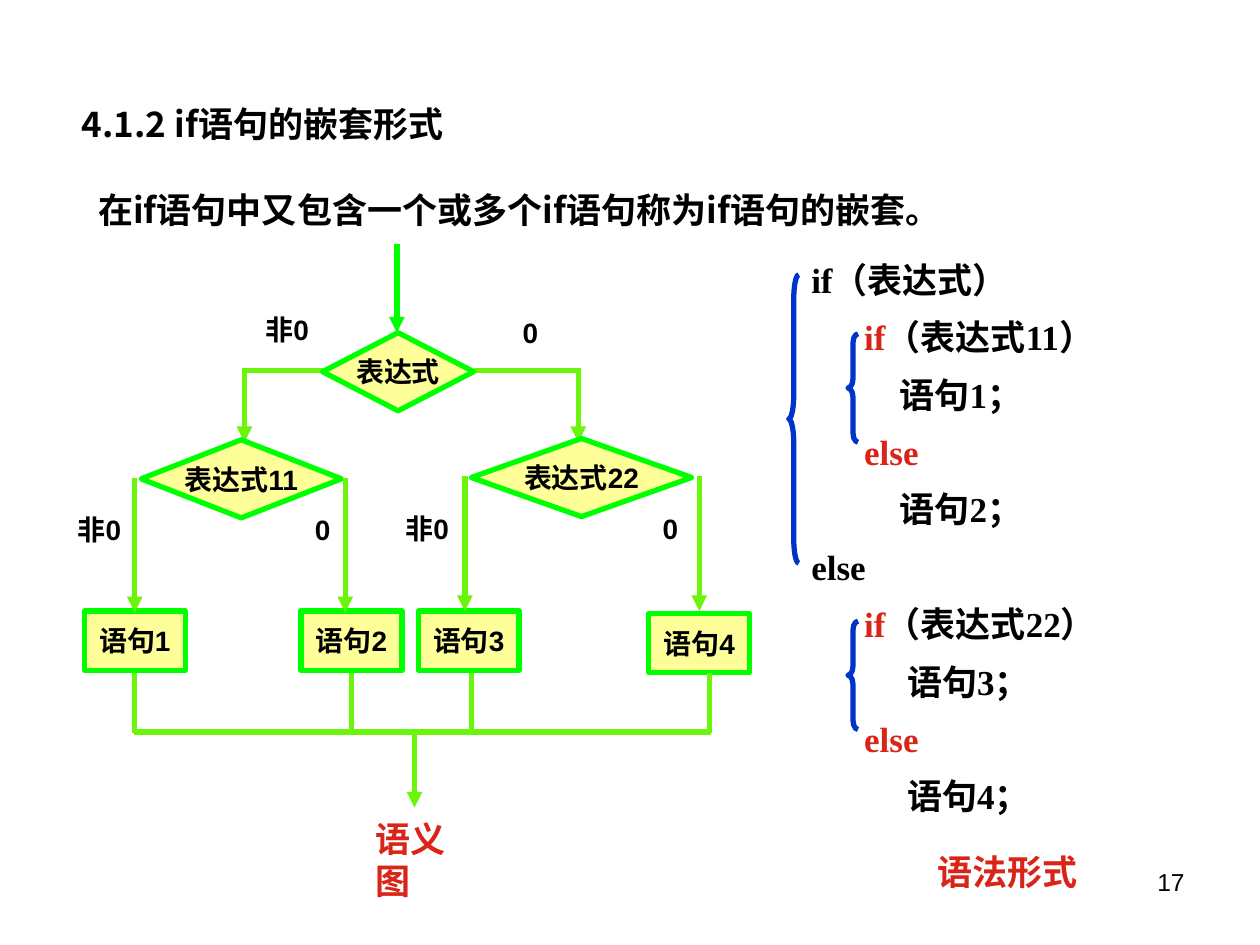
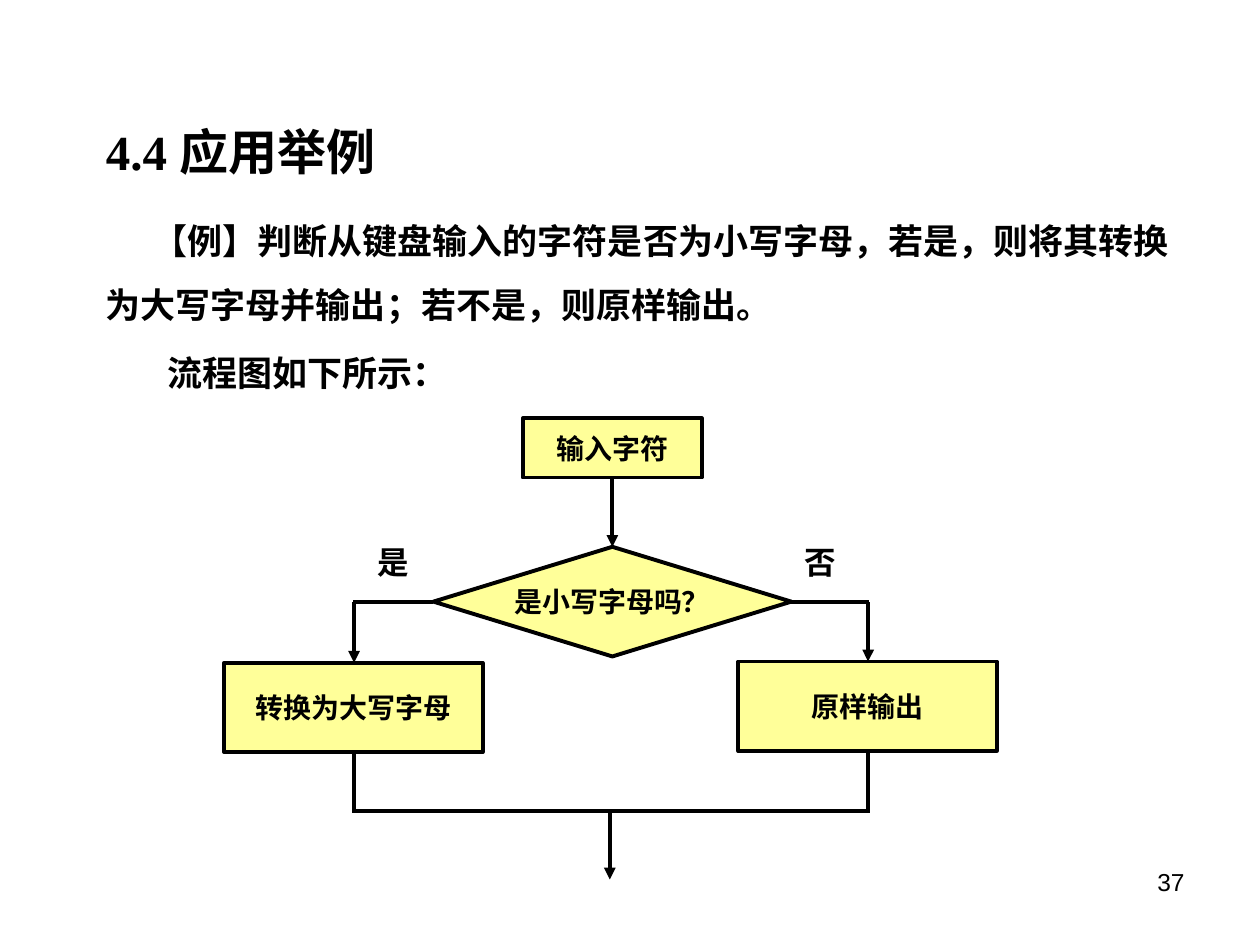
from collections import namedtuple

from lxml import etree
from pptx import Presentation
from pptx.dml.color import RGBColor
from pptx.enum.shapes import MSO_CONNECTOR, MSO_SHAPE
from pptx.enum.text import MSO_ANCHOR, PP_ALIGN
from pptx.oxml.ns import qn
from pptx.util import Inches, Pt

BLACK = RGBColor(0x00, 0x00, 0x00)
RED = RGBColor(0xD9, 0x25, 0x17)
BLUE = RGBColor(0x00, 0x33, 0xCC)
YELLOW = RGBColor(0xFF, 0xFF, 0x99)
GREEN = RGBColor(0x00, 0xFF, 0x00)
LIME = RGBColor(0x6B, 0xF5, 0x0D)

SANS, SERIF, CHINESE = "Arial", "Times New Roman", "Noto Sans CJK SC"
LEFT, CENTER, RIGHT = PP_ALIGN.LEFT, PP_ALIGN.CENTER, PP_ALIGN.RIGHT
TOP, MIDDLE = MSO_ANCHOR.TOP, MSO_ANCHOR.MIDDLE
DECISION, PROCESS = MSO_SHAPE.FLOWCHART_DECISION, MSO_SHAPE.FLOWCHART_PROCESS
LEFT_BRACE = MSO_SHAPE.LEFT_BRACE
STRAIGHT = MSO_CONNECTOR.STRAIGHT
TITLE_ONLY = 5

FlowStyle = namedtuple("FlowStyle", "outline wire weight font")
NESTED = FlowStyle(GREEN, LIME, 3, SANS)
EXAMPLE = FlowStyle(BLACK, BLACK, 2.25, SERIF)

Side = namedtuple("Side", "wire label label_center box_left box_top statement")


def inches(*lengths):
    return [Inches(round(length, 2)) for length in lengths]


def format_run(run, size, font, color=BLACK, bold=True):
    run.font.size = Pt(size)
    run.font.name = font
    run.font.bold = bold
    run.font.color.rgb = color
    east_asian = etree.SubElement(run._r.get_or_add_rPr(), qn("a:ea"))
    east_asian.set("typeface", CHINESE)


def indent_paragraph(paragraph, margin=0, first_line=0):
    properties = paragraph._p.get_or_add_pPr()
    properties.set("marL", str(Inches(margin)))
    properties.set("indent", str(Inches(first_line)))


def fill_text(shape, text, size, font, color=BLACK, bold=True, align=CENTER,
              anchor=MIDDLE, wrap=False):
    """Write one paragraph per line of text in a single format."""
    frame = shape.text_frame
    frame.text = text
    frame.word_wrap = wrap
    frame.vertical_anchor = anchor
    for paragraph in frame.paragraphs:
        paragraph.alignment = align
        for run in paragraph.runs:
            format_run(run, size, font, color, bold)
    return frame


def add_text(slide, box, text, size, font, **options):
    shape = slide.shapes.add_textbox(*inches(*box))
    return fill_text(shape, text, size, font, **options)


def add_label(slide, center, middle, text, size, font):
    add_text(slide, (center - 0.3, middle - 0.2, 0.6, 0.4), text, size, font)


def add_node(slide, kind, box, text, style):
    shape = slide.shapes.add_shape(kind, *inches(*box))
    shape.shadow.inherit = False
    shape.fill.solid()
    shape.fill.fore_color.rgb = YELLOW
    shape.line.color.rgb = style.outline
    shape.line.width = Pt(style.weight)
    fill_text(shape, text, 16, style.font)


def add_wire(slide, start, end, style, arrow=False, color=None):
    wire = slide.shapes.add_connector(STRAIGHT, *inches(*start, *end))
    wire.line.color.rgb = color or style.wire
    wire.line.width = Pt(style.weight)
    properties = wire._element.spPr
    if arrow:
        head = etree.SubElement(properties.find(qn("a:ln")), qn("a:tailEnd"))
        head.set("type", "triangle")
    etree.SubElement(properties, qn("a:effectLst"))


def add_brace(slide, left, top, height):
    width = 0.08
    brace = slide.shapes.add_shape(LEFT_BRACE, *inches(left, top, width, height))
    brace.adjustments[0] = height / width / 12
    brace.shadow.inherit = False
    brace.fill.background()
    brace.line.color.rgb = BLUE
    brace.line.width = Pt(3)


def add_titled_slide(presentation, title, box, size, font, number):
    slide = presentation.slides.add_slide(presentation.slide_layouts[TITLE_ONLY])
    shape = slide.shapes.title
    shape.left, shape.top, shape.width, shape.height = inches(*box)
    fill_text(shape, title, size, font, align=LEFT, wrap=True)
    add_text(slide, (7.17, 6.83, 2.33, 0.52), number, 14, SANS,
             bold=False, align=RIGHT, anchor=TOP, wrap=True)
    return slide


def add_root_decision(slide, left, top):
    """The outer test, with wires down to both inner tests."""
    middle = top + 0.3
    for wire, inner, outer in ((left - 0.62, left - 0.63, left),
                               (left + 2.03, left + 1.2, left + 2.03)):
        add_wire(slide, (inner, middle), (outer, middle), NESTED)
        add_wire(slide, (wire, middle - 0.02), (wire, top + 0.87), NESTED, arrow=True)
    add_node(slide, DECISION, (left, top, 1.2, 0.62), "表达式", NESTED)
    add_wire(slide, (left + 0.59, top - 0.7), (left + 0.59, top), NESTED,
             arrow=True, color=GREEN)
    add_label(slide, left - 0.28, top - 0.03, "非0", 16, SANS)
    add_label(slide, left + 1.65, top, "0", 16, SANS)


def add_inner_decision(slide, left, top, width, test, sides):
    """An inner test; the sides are given relative to its corner."""
    add_node(slide, DECISION, (left, top, width, 0.62), test, NESTED)
    for side in sides:
        wire, box_top = left + side.wire, top + side.box_top
        add_node(slide, PROCESS, (left + side.box_left, box_top, 0.8, 0.47),
                 side.statement, NESTED)
        add_wire(slide, (wire, top + 0.3), (wire, top + 1.37), NESTED, arrow=True)
        add_label(slide, left + side.label_center, top + 0.71, side.label, 16, SANS)


def add_merge(slide, left, top):
    """Collect the four statements into one exit arrow."""
    bus = top + 0.47
    add_wire(slide, (left - 0.01, bus), (left + 4.57, bus), NESTED)
    for offset in (0, 1.72, 2.67, 4.56):
        add_wire(slide, (left + offset, top), (left + offset, bus + 0.01), NESTED)
    add_wire(slide, (left + 2.22, bus), (left + 2.22, bus + 0.6), NESTED, arrow=True)


def add_syntax(slide, left, top):
    """The nested if in code form, with braces pairing if and else."""
    lines = [
        (0, "", "if（表达式）"),
        (0.42, "if", "（表达式11）"),
        (0.7, "", "语句1；"),
        (0.42, "else", ""),
        (0.7, "", "语句2；"),
        (0, "", "else"),
        (0.42, "if", "（表达式22）"),
        (0.76, "", "语句3；"),
        (0.42, "else", ""),
        (0.76, "", "语句4；"),
    ]
    frame = slide.shapes.add_textbox(*inches(left, top, 3.31, 5.24)).text_frame
    frame.word_wrap = True
    for index, (margin, keyword, rest) in enumerate(lines):
        paragraph = frame.add_paragraph() if index else frame.paragraphs[0]
        paragraph.line_spacing = Pt(32.8)
        indent_paragraph(paragraph, margin)
        for text, color in ((keyword, RED), (rest, BLACK)):
            if text:
                run = paragraph.add_run()
                run.text = text
                format_run(run, 20, SERIF, color)
    caption = frame.add_paragraph()
    caption.text = "语法形式"
    caption.alignment = CENTER
    caption.line_spacing = Pt(32.8)
    caption.space_before = Pt(10.6)
    format_run(caption.runs[0], 20, CHINESE, RED)

    add_brace(slide, left - 0.08, top + 0.3, 2.29)
    for offset in (0.77, 3.05):
        add_brace(slide, left + 0.39, top + offset, 0.86)


def build_nesting_slide(presentation):
    slide = add_titled_slide(presentation, "4.1.2 if语句的嵌套形式",
                             (0.55, 0.68, 8.46, 0.6), 20, CHINESE, "17")
    add_text(slide, (0.68, 1.36, 8.33, 0.6),
             "在if语句中又包含一个或多个if语句称为if语句的嵌套。",
             20, CHINESE, align=LEFT, wrap=True)
    add_root_decision(slide, 2.56, 2.64)
    add_inner_decision(slide, 1.12, 3.49, 1.59, "表达式11", (
        Side(-0.05, "非0", -0.33, -0.45, 1.36, "语句1"),
        Side(1.62, "0", 1.44, 1.27, 1.36, "语句2")))
    add_inner_decision(slide, 3.74, 3.48, 1.75, "表达式22", (
        Side(-0.05, "非0", -0.35, -0.42, 1.37, "语句3"),
        Side(1.81, "0", 1.58, 1.41, 1.39, "语句4")))
    add_merge(slide, 1.07, 5.34)
    add_text(slide, (2.88, 6.6, 1.03, 0.44), "语义图", 20, CHINESE,
             color=RED, align=LEFT)
    add_syntax(slide, 6.34, 1.88)


def add_case_flowchart(slide, left, top):
    """Input, test, two outcomes and exit; the corner is the left outcome's."""
    axis, test_top, bus = left + 3.08, top + 1.02, top + 3.12
    middle = test_top + 0.44
    add_node(slide, DECISION, (axis - 1.42, test_top, 2.84, 0.87),
             "是小写字母吗？", EXAMPLE)
    add_node(slide, PROCESS, (axis - 0.71, top, 1.42, 0.47), "输入字符", EXAMPLE)
    add_wire(slide, (axis, top + 0.47), (axis, test_top), EXAMPLE, arrow=True)

    outcomes = (
        (left, 1.94, -1, "是", axis - 1.74, "转换为大写字母"),
        (left + 4.08, 1.93, 1, "否", axis + 1.65, "原样输出"),
    )
    for box_left, drop, direction, answer, answer_center, outcome in outcomes:
        wire, box_top = box_left + 1.03, top + drop
        add_wire(slide, (axis + direction * 1.42, middle),
                 (wire + direction * 0.01, middle), EXAMPLE)
        add_wire(slide, (wire, middle), (wire, box_top), EXAMPLE, arrow=True)
        add_node(slide, PROCESS, (box_left, box_top, 2.05, 0.71), outcome, EXAMPLE)
        add_label(slide, answer_center, test_top + 0.12, answer, 18, SERIF)
        add_wire(slide, (wire, box_top + 0.71), (wire, bus + 0.01), EXAMPLE)
        add_wire(slide, (wire, bus), (axis - 0.02, bus), EXAMPLE)
    add_wire(slide, (axis - 0.02, bus), (axis - 0.02, bus + 0.54), EXAMPLE, arrow=True)


def build_example_slide(presentation):
    slide = add_titled_slide(presentation, "4.4 应用举例",
                             (0.74, 0.8, 8.67, 0.8), 28, SERIF, "37")
    problem = "【例】判断从键盘输入的字符是否为小写字母，若是，则将其转换为大写字母并输出；若不是，则原样输出。"
    frame = add_text(slide, (0.74, 1.51, 8.67, 1.64), problem + "\n流程图如下所示：",
                     20, SERIF, align=LEFT, anchor=TOP, wrap=True)
    for paragraph, first_line in zip(frame.paragraphs, (0.37, 0.49)):
        paragraph.line_spacing = Pt(37)
        indent_paragraph(paragraph, first_line=first_line)
    frame.paragraphs[1].space_before = Pt(1.5)
    add_case_flowchart(slide, 1.78, 3.32)


def main():
    presentation = Presentation()
    presentation.slide_width, presentation.slide_height = inches(10, 7.5)
    build_nesting_slide(presentation)
    build_example_slide(presentation)
    presentation.save("out.pptx")


if __name__ == "__main__":
    main()
